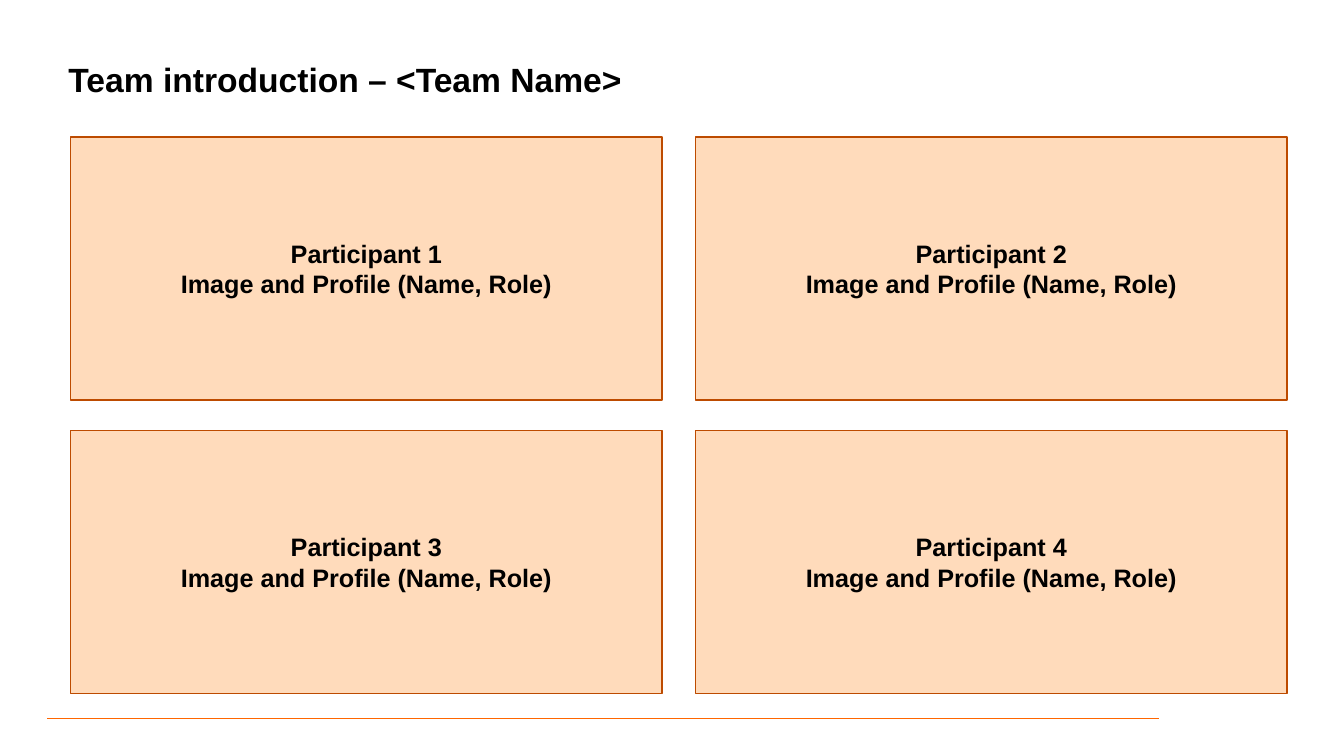
from pptx import Presentation
from pptx.dml.color import RGBColor
from pptx.enum.shapes import MSO_CONNECTOR, MSO_SHAPE
from pptx.enum.text import MSO_ANCHOR, MSO_AUTO_SIZE, PP_ALIGN
from pptx.oxml.ns import qn
from pptx.util import Pt
from lxml.etree import SubElement

COLORS = {
    "text": "000000",
    "card": "FFDBBB",
    "border": "BD4B00",
    "rule": "FF6600",
}
CARD_WIDTH, CARD_HEIGHT = 422.6, 187.9
GRID_LEFT, GRID_TOP = 50.4, 97.9
COLUMN_STEP, ROW_STEP = 446.4, 209.5
COLUMNS = 2
PARTICIPANTS = 4


def color(name):
    return RGBColor.from_string(COLORS[name])


def write_lines(text_frame, lines, size, alignment):
    """Fill the frame with one bold paragraph per line."""
    text_frame.word_wrap = True
    text_frame.text = "\n".join(lines)
    for paragraph in text_frame.paragraphs:
        paragraph.alignment = alignment
        font = paragraph.font
        font.name = "Arial"
        font.size = Pt(size)
        font.bold = True
        font.color.rgb = color("text")


def add_title(slide, text):
    box = slide.shapes.add_textbox(Pt(41.8), Pt(38.2), Pt(868.3), Pt(36))
    write_lines(box.text_frame, [text], 24, PP_ALIGN.LEFT)
    box.text_frame.auto_size = MSO_AUTO_SIZE.SHAPE_TO_FIT_TEXT


def add_footer_rule(slide):
    rule = slide.shapes.add_connector(
        MSO_CONNECTOR.STRAIGHT, Pt(33.8), Pt(513.4), Pt(828), Pt(513.4))
    rule.line.color.rgb = color("rule")
    rule.line.width = Pt(0.5)
    SubElement(rule._element.spPr, qn("a:effectLst"))


def add_participant_card(slide, index):
    row, column = divmod(index, COLUMNS)
    card = slide.shapes.add_shape(
        MSO_SHAPE.RECTANGLE,
        Pt(GRID_LEFT + column * COLUMN_STEP), Pt(GRID_TOP + row * ROW_STEP),
        Pt(CARD_WIDTH), Pt(CARD_HEIGHT))
    card.shadow.inherit = False
    card.fill.solid()
    card.fill.fore_color.rgb = color("card")
    card.line.color.rgb = color("border")
    card.line.width = Pt(1)
    card.text_frame.vertical_anchor = MSO_ANCHOR.MIDDLE
    lines = [f"Participant {index + 1}", "Image and Profile (Name, Role)"]
    write_lines(card.text_frame, lines, 18, PP_ALIGN.CENTER)


def main():
    presentation = Presentation()
    presentation.slide_width = Pt(960)
    presentation.slide_height = Pt(540)
    slide = presentation.slides.add_slide(presentation.slide_layouts[6])
    add_title(slide, "Team introduction – <Team Name>")
    add_footer_rule(slide)
    for index in range(PARTICIPANTS):
        add_participant_card(slide, index)
    presentation.save("out.pptx")


if __name__ == "__main__":
    main()
